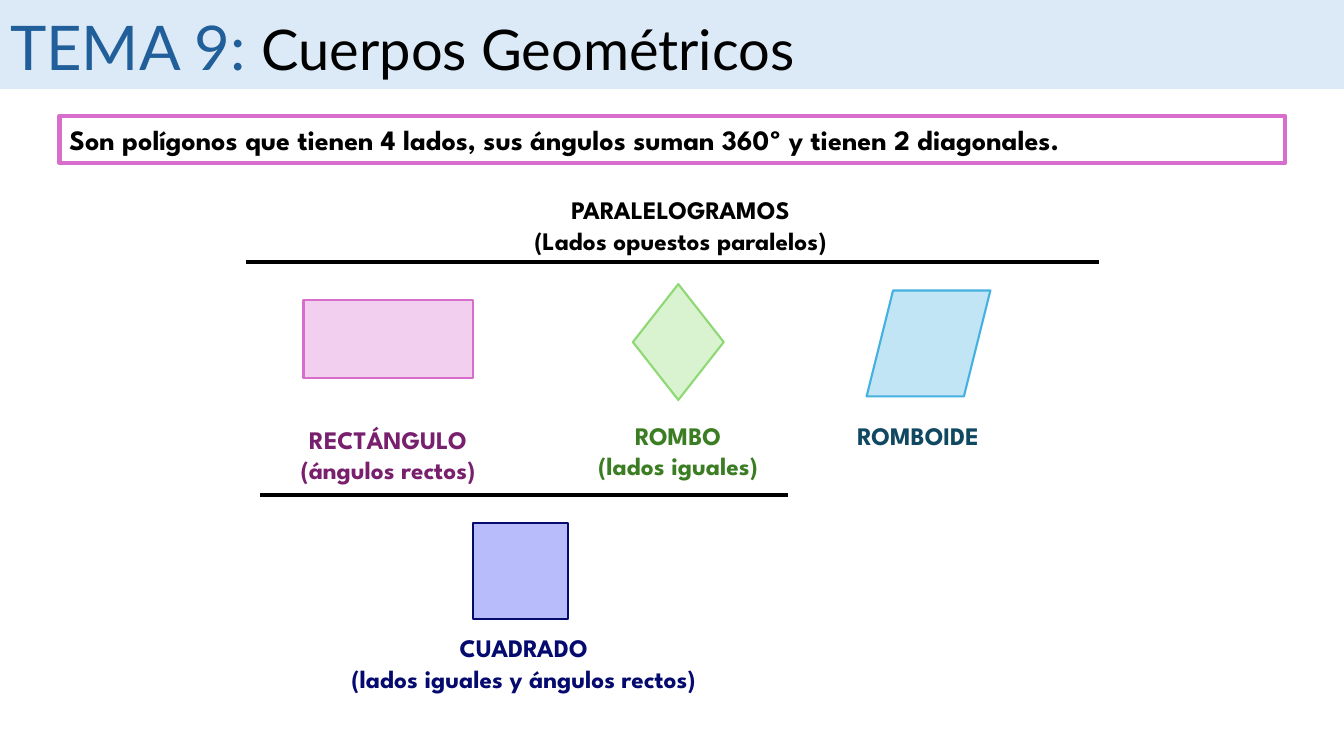
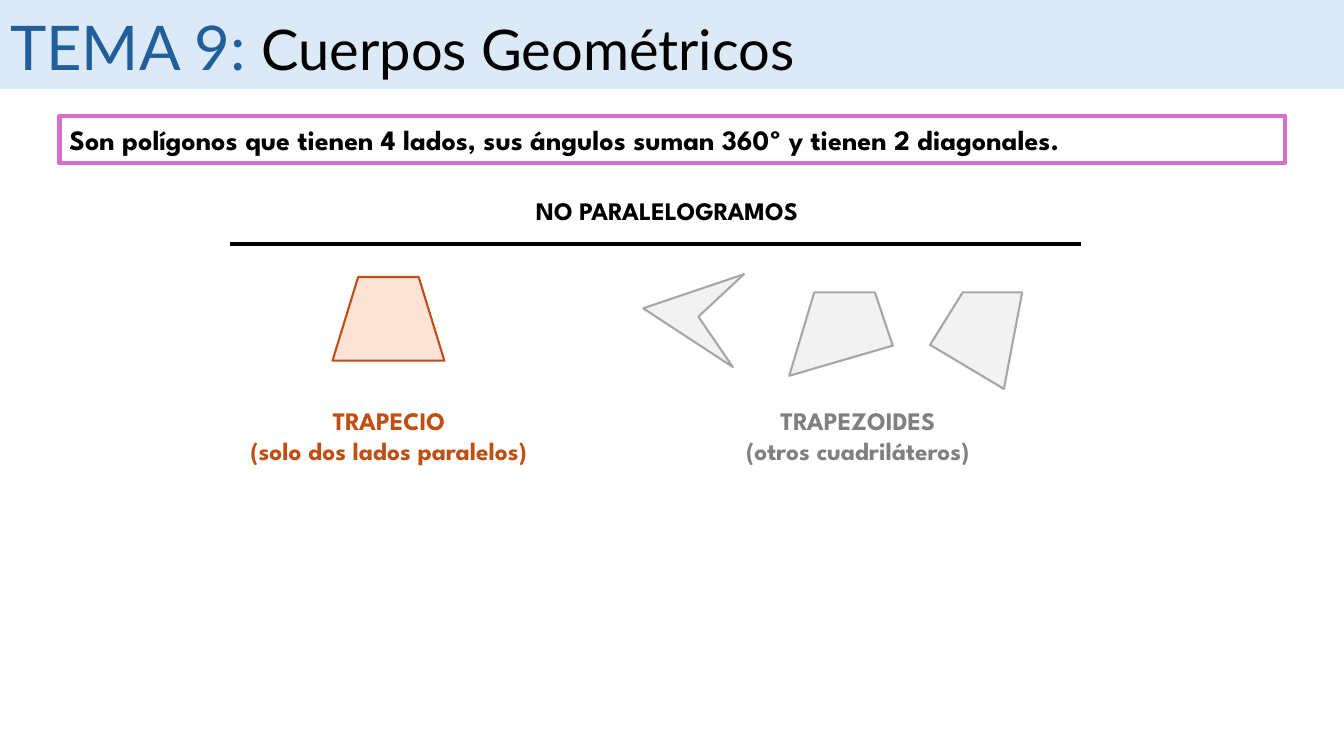
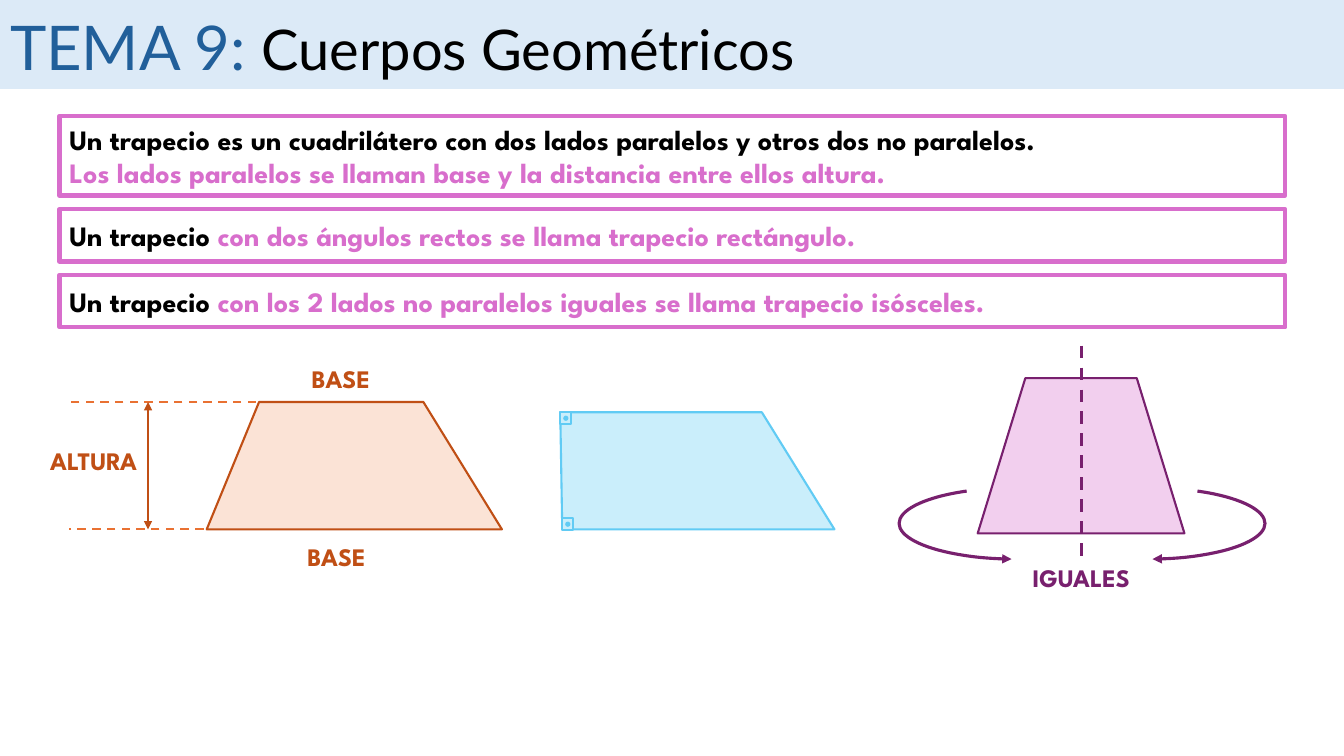
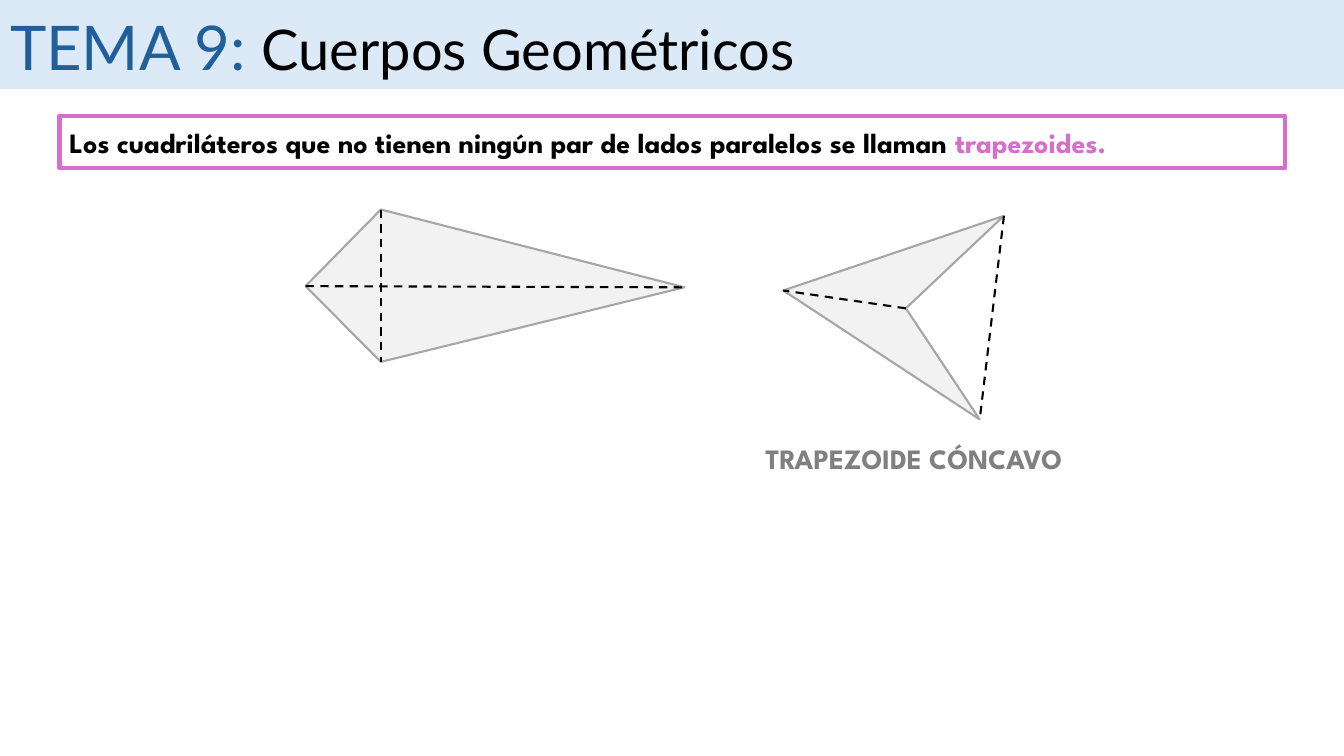
import pptx
import pptx.dml.color
import pptx.enum.dml
import pptx.enum.shapes
import pptx.enum.text
import pptx.oxml.ns
import pptx.util
from lxml import etree

Cm = pptx.util.Cm
Pt = pptx.util.Pt
RGBColor = pptx.dml.color.RGBColor
SHAPE = pptx.enum.shapes.MSO_SHAPE
ALIGN = pptx.enum.text.PP_ALIGN
ANCHOR = pptx.enum.text.MSO_ANCHOR
qn = pptx.oxml.ns.qn

BLACK = RGBColor(0x00, 0x00, 0x00)
BAND = RGBColor(0xDC, 0xEA, 0xF7)
TITLE_BLUE = RGBColor(0x21, 0x5F, 0x9A)
PINK = RGBColor(0xD8, 0x6E, 0xCC)
PALE_PINK = RGBColor(0xF2, 0xCF, 0xEE)
PURPLE = RGBColor(0x78, 0x20, 0x6E)
GREEN = RGBColor(0x8E, 0xD9, 0x73)
PALE_GREEN = RGBColor(0xD9, 0xF2, 0xD0)
DARK_GREEN = RGBColor(0x3B, 0x7D, 0x23)
BLUE = RGBColor(0x46, 0xB1, 0xE1)
PALE_BLUE = RGBColor(0xC1, 0xE5, 0xF5)
DARK_BLUE = RGBColor(0x10, 0x48, 0x62)
LILAC = RGBColor(0xA7, 0xAB, 0xFB)
NAVY = RGBColor(0x05, 0x0A, 0x6F)
ORANGE = RGBColor(0xE9, 0x71, 0x32)
RUST = RGBColor(0xC0, 0x4F, 0x15)
PALE_RUST = RGBColor(0xFB, 0xE3, 0xD6)
SKY = RGBColor(0x61, 0xCB, 0xF4)
PALE_SKY = RGBColor(0xCA, 0xEE, 0xFB)
GREY = RGBColor(0xA6, 0xA6, 0xA6)
PALE_GREY = RGBColor(0xF2, 0xF2, 0xF2)
TEXT_GREY = RGBColor(0x80, 0x80, 0x80)

SLIDE_WIDTH, SLIDE_HEIGHT = 33.87, 19.05
BAND_HEIGHT = 2.24
STATEMENT_LEFT, STATEMENT_TOP, STATEMENT_WIDTH = 1.5, 2.92, 30.89
STATEMENT_GAP = 0.34
LABEL_WIDTH = 10.26
TRAPEZOID_SLANT = 0.307

TITLE_FONT = {"name": "Lato", "bold": False}
STATEMENT_FONT = {"name": "League Spartan", "size": Pt(20), "bold": True}
LABEL_FONT = {"name": "League Spartan", "size": Pt(18), "bold": True}

TITLE = [("TEMA 9: ", TITLE_BLUE, 44), ("Cuerpos Geométricos", BLACK, 40)]

# Statements: (height, paragraphs), each paragraph a list of (text, colour)
QUADRILATERAL = [(1.19, [[(
    "Son polígonos que tienen 4 lados, sus ángulos suman 360º y tienen 2 diagonales.",
    BLACK)]])]
TRAPEZIUM = [
    (2.01, [
        [("Un trapecio es un cuadrilátero con dos lados paralelos y otros dos no paralelos.",
          BLACK)],
        [("Los lados paralelos se llaman base y la distancia entre ellos altura.", PINK)],
    ]),
    (1.32, [[("Un trapecio ", BLACK),
             ("con dos ángulos rectos se llama trapecio rectángulo.", PINK)]]),
    (1.32, [[("Un trapecio ", BLACK),
             ("con los 2 lados no paralelos iguales se llama trapecio isósceles.", PINK)]]),
]
TRAPEZOID = [(1.32, [[
    ("Los cuadriláteros que no tienen ningún par de lados paralelos se llaman ", BLACK),
    ("trapezoides.", PINK)]])]

# Labels: (centre, top, colour, lines)
PARALLELOGRAM_LABELS = [
    (17.15, 4.78, BLACK, ["PARALELOGRAMOS", "(Lados opuestos paralelos)"]),
    (9.78, 10.57, PURPLE, ["RECTÁNGULO", "(ángulos rectos)"]),
    (17.09, 10.46, DARK_GREEN, ["ROMBO", "(lados iguales)"]),
    (23.14, 10.46, DARK_BLUE, ["ROMBOIDE"]),
    (13.2, 15.82, NAVY, ["CUADRADO", "(lados iguales y ángulos rectos)"]),
]
OTHER_LABELS = [
    (16.81, 4.8, BLACK, ["NO PARALELOGRAMOS"]),
    (9.8, 10.08, RUST, ["TRAPECIO", "(solo dos lados paralelos)"]),
    (21.62, 10.08, TEXT_GREY, ["TRAPEZOIDES", "(otros cuadriláteros)"]),
]
TRAPEZIUM_LABELS = [
    (8.48, 13.51, RUST, ["BASE"]),
    (8.59, 9.04, RUST, ["BASE"]),
    (2.36, 11.1, RUST, ["ALTURA"]),
    (27.25, 14.05, PURPLE, ["IGUALES"]),
]
CONCAVE_LABEL = (23.03, 11, TEXT_GREY, ["TRAPEZOIDE CÓNCAVO"])

# Preset figures: (shape, (left, top, width, height), fill, outline)
PARALLELOGRAMS = [
    (SHAPE.RECTANGLE, (7.65, 7.57, 4.27, 1.96), PALE_PINK, PINK),
    (SHAPE.DIAMOND, (15.95, 7.16, 2.29, 2.92), PALE_GREEN, GREEN),
    (SHAPE.PARALLELOGRAM, (21.84, 7.32, 3.12, 2.67), PALE_BLUE, BLUE),
]
SQUARE_BOX = (11.91, 13.18, 2.41, 2.41)

# Polygons: corner points
SMALL_TRAPEZOIDS = [
    [(18.75, 6.91), (17.6, 7.98), (18.47, 9.25), (16.21, 7.77)],
    [(19.89, 9.47), (20.52, 7.37), (22.05, 7.37), (22.5, 8.71)],
    [(23.44, 8.69), (24.26, 7.37), (25.76, 7.37), (25.3, 9.8)],
]
SCALENE_TRAPEZIUM = [(5.21, 13.34), (6.53, 10.13), (10.67, 10.13), (12.65, 13.34)]
RIGHT_TRAPEZIUM = [(14.17, 13.34), (14.12, 10.39), (19.2, 10.39), (21.03, 13.34)]
RIGHT_ANGLES = [(14.17, 13.06), (14.12, 10.39)]
LARGE_TRAPEZOIDS = [
    [(25.3, 5.44), (22.83, 7.77), (24.69, 10.57), (19.74, 7.32)],
    [(7.7, 7.21), (9.6, 5.28), (17.25, 7.24), (9.6, 9.12)],
]


def set_line_ends(shape, ends):
    line = shape.element.spPr.find(qn("a:ln"))
    for end in ends:
        etree.SubElement(line, qn(f"a:{end}"), type="triangle")


def paint(shape, fill=None, outline=None, width=1.5):
    shape.shadow.inherit = False
    if fill is None:
        shape.fill.background()
    else:
        shape.fill.solid()
        shape.fill.fore_color.rgb = fill
    if outline is None:
        shape.line.fill.background()
    else:
        shape.line.color.rgb = outline
        shape.line.width = Pt(width)


def add_figure(shapes, kind, box, *colours):
    shape = shapes.add_shape(kind, *map(Cm, box))
    paint(shape, *colours)
    return shape


def add_polygon(shapes, points, *colours):
    start, *others = [(Cm(x), Cm(y)) for x, y in points]
    builder = shapes.build_freeform(*start)
    builder.add_line_segments(others, close=True)
    paint(builder.convert_to_shape(), *colours)


def add_line(shapes, start, end, colour=BLACK, width=1.5, dashed=False, ends=()):
    line = shapes.add_connector(pptx.enum.shapes.MSO_CONNECTOR.STRAIGHT,
                                *map(Cm, start + end))
    line.line.color.rgb = colour
    line.line.width = Pt(width)
    if dashed:
        line.line.dash_style = pptx.enum.dml.MSO_LINE.DASH
    set_line_ends(line, ends)
    etree.SubElement(line.element.spPr, qn("a:effectLst"))


def write(frame, paragraphs, font, alignment=ALIGN.LEFT, anchor=ANCHOR.TOP):
    """Fill a frame; a run is (text, colour) or (text, colour, size)."""
    frame.word_wrap = True
    frame.vertical_anchor = anchor
    for index, runs in enumerate(paragraphs):
        paragraph = frame.add_paragraph() if index else frame.paragraphs[0]
        paragraph.alignment = alignment
        for text, colour, *size in runs:
            run = paragraph.add_run()
            run.text = text
            for name, value in font.items():
                setattr(run.font, name, value)
            if size:
                run.font.size = Pt(size[0])
            run.font.color.rgb = colour


def add_label(shapes, centre, top, colour, lines, font=LABEL_FONT):
    width = min(LABEL_WIDTH, 2 * centre)
    label = shapes.add_textbox(Cm(centre - width / 2), Cm(top), Cm(width),
                               Cm(0.24 + 0.78 * len(lines)))
    write(label.text_frame, [[(line, colour)] for line in lines], font, ALIGN.CENTER)


def add_lesson_slide(presentation, statements, labels=()):
    """Add a slide with title band, framed statements and labels; return its shapes."""
    shapes = presentation.slides.add_slide(presentation.slide_layouts[5]).shapes
    title = shapes.title
    title.left, title.top, title.width, title.height = map(Cm, (0, 0.1, 30.1, 2.13))
    write(title.text_frame, [TITLE], TITLE_FONT)
    band = add_figure(shapes, SHAPE.RECTANGLE, (0, 0, SLIDE_WIDTH, BAND_HEIGHT), BAND)
    title.element.addprevious(band.element)

    top = STATEMENT_TOP
    for height, paragraphs in statements:
        frame = add_figure(shapes, SHAPE.RECTANGLE,
                           (STATEMENT_LEFT, top, STATEMENT_WIDTH, height), None, PINK, 3)
        write(frame.text_frame, paragraphs, STATEMENT_FONT, anchor=ANCHOR.MIDDLE)
        top += height + STATEMENT_GAP
    for label in labels:
        add_label(shapes, *label)
    return shapes


def add_parallelograms(presentation):
    shapes = add_lesson_slide(presentation, QUADRILATERAL, PARALLELOGRAM_LABELS)
    add_line(shapes, (6.2, 6.6), (27.69, 6.6), width=3)
    add_line(shapes, (6.55, 12.47), (19.86, 12.47), width=3)
    for figure in PARALLELOGRAMS:
        add_figure(shapes, *figure)
    square = add_figure(shapes, SHAPE.RECTANGLE, SQUARE_BOX, LILAC, NAVY)
    fill_colour = square.element.spPr.find(qn("a:solidFill")).find(qn("a:srgbClr"))
    etree.SubElement(fill_colour, qn("a:alpha"), val="79000")


def add_other_quadrilaterals(presentation):
    shapes = add_lesson_slide(presentation, QUADRILATERAL, OTHER_LABELS)
    add_line(shapes, (5.79, 6.15), (27.25, 6.15), width=3)
    trapezium = add_figure(shapes, SHAPE.TRAPEZOID, (8.38, 6.98, 2.82, 2.11),
                           PALE_RUST, RUST)
    trapezium.adjustments[0] = TRAPEZOID_SLANT
    for points in SMALL_TRAPEZOIDS:
        add_polygon(shapes, points, PALE_GREY, GREY)


def add_right_trapezium(shapes):
    group = shapes.add_group_shape().shapes
    add_polygon(group, RIGHT_TRAPEZIUM, PALE_SKY, SKY)
    width, height, dot = 0.28, 0.3, 0.13
    for left, top in RIGHT_ANGLES:
        add_figure(group, SHAPE.RECTANGLE, (left, top, width, height), PALE_SKY, SKY)
        add_figure(group, SHAPE.OVAL, (left + (width - dot) / 2,
                                       top + (height - dot) / 2, dot, dot), SKY)


def add_isosceles_trapezium(shapes):
    trapezium = add_figure(shapes, SHAPE.TRAPEZOID, (24.64, 9.53, 5.21, 3.91),
                           PALE_PINK, PURPLE)
    trapezium.adjustments[0] = TRAPEZOID_SLANT
    add_line(shapes, (27.25, 8.71), (27.25, 14.05), PURPLE, 2.25, dashed=True)
    for left, flipped in ((25.96, False), (22.66, True)):
        arc = add_figure(shapes, SHAPE.ARC, (left, 12.29, 5.92, 1.8), None, PURPLE, 2.25)
        arc.adjustments[0], arc.adjustments[1] = 196.23, 49.23
        set_line_ends(arc, ["tailEnd"])
        if flipped:
            arc.element.spPr.find(qn("a:xfrm")).set("flipH", "1")


def add_trapeziums(presentation):
    shapes = add_lesson_slide(presentation, TRAPEZIUM, TRAPEZIUM_LABELS)
    add_polygon(shapes, SCALENE_TRAPEZIUM, PALE_RUST, RUST)
    for x, y in SCALENE_TRAPEZIUM[:2]:
        add_line(shapes, (x - 0.08, y), (1.73, y), ORANGE, dashed=True)
    add_line(shapes, (3.73, 10.13), (3.73, 13.34), RUST, ends=("headEnd", "tailEnd"))
    add_right_trapezium(shapes)
    add_isosceles_trapezium(shapes)


def add_trapezoids(presentation):
    shapes = add_lesson_slide(presentation, TRAPEZOID)
    add_label(shapes, *CONCAVE_LABEL, font=STATEMENT_FONT)
    for points in LARGE_TRAPEZOIDS:
        add_polygon(shapes, points, PALE_GREY, GREY)
        for start, end in zip(points[:2], points[2:]):
            add_line(shapes, start, end, dashed=True)


def main():
    presentation = pptx.Presentation()
    presentation.slide_width, presentation.slide_height = Cm(SLIDE_WIDTH), Cm(SLIDE_HEIGHT)
    add_parallelograms(presentation)
    add_other_quadrilaterals(presentation)
    add_trapeziums(presentation)
    add_trapezoids(presentation)
    presentation.save("out.pptx")


if __name__ == "__main__":
    main()
